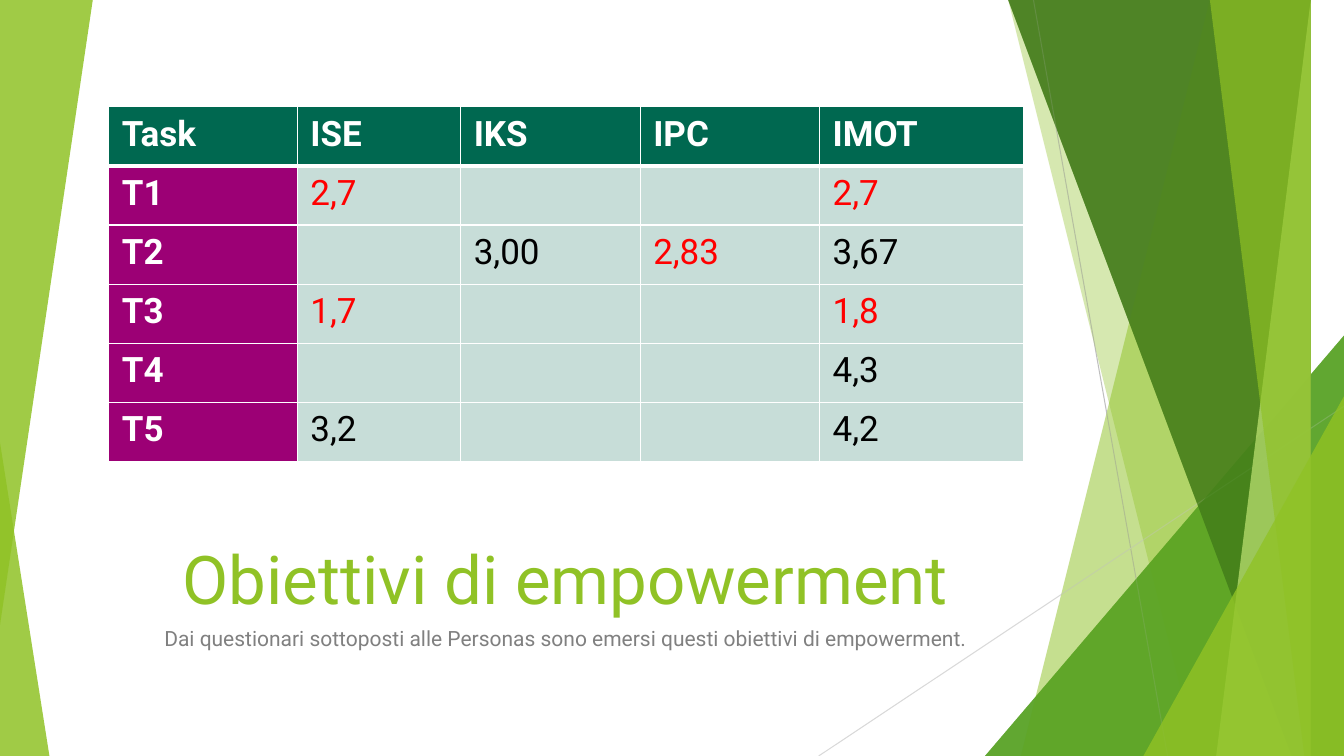
from dataclasses import dataclass

from lxml import etree
from pptx import Presentation
from pptx import util as u
from pptx.dml.color import RGBColor
from pptx.enum import shapes, text
from pptx.oxml import ns

# Content
TITLE = "Obiettivi di empowerment"
SUBTITLE = "Dai questionari sottoposti alle Personas sono emersi questi obiettivi di empowerment."
HEADER = ["Task", "ISE", "IKS", "IPC", "IMOT"]
SCORES = [
    ["T1", "2,7", "", "", "2,7"],
    ["T2", "", "3,00", "2,83", "3,67"],
    ["T3", "1,7", "", "", "1,8"],
    ["T4", "", "", "", "4,3"],
    ["T5", "3,2", "", "", "4,2"],
]
LOW_SCORE = 3


@dataclass(frozen=True)
class Theme:
    font: str = "Roboto"
    lime: str = "90C226"
    green: str = "54A021"
    forest: str = "3F7819"
    pale: str = "C0E474"
    white: str = "FFFFFF"
    black: str = "000000"
    red: str = "FF0000"
    grey: str = "808080"
    header: str = "006850"
    task: str = "9C0075"
    score: str = "C7DDD8"
    title_size: int = 48
    subtitle_size: int = 15
    table_size: int = 25


THEME = Theme()

# Grid, in inches
WIDTH, HEIGHT = 13.33, 7.5
LEFT, CONTENT_WIDTH = 1.08, 9.06
TABLE_TOP, TABLE_HEIGHT = 1.06, 3.52
TITLE_TOP, TITLE_HEIGHT, SUBTITLE_HEIGHT = 4.98, 1.2, 0.51
COLUMN_WIDTHS = [1.87, 1.62, 1.78, 1.78, 2.02]

# Facets reach the right edge: (top x, bottom x, colour, opacity),
# corners sit at the bottom right: (left, top, colour, opacity)
FACETS = [
    ("facet", 12.28, 10.04, THEME.lime, 30),
    ("facet", 10.5, 11.83, THEME.lime, 20),
    ("corner", 9.77, 3.33, THEME.green, 72),
    ("facet", 10.21, 12.91, THEME.forest, 70),
    ("facet", 13.03, 11.92, THEME.pale, 70),
    ("facet", 11.96, 13.18, THEME.lime, 65),
    ("corner", 11.34, 3.93, THEME.lime, 80),
]
RAYS = [((10.25, 0), (11.58, HEIGHT), "BFBFBF"), ((WIDTH, 4.03), (8.12, HEIGHT), "D9D9D9")]


def inches(*values):
    return [u.Inches(value) for value in values]


def paint(shape, color, opacity):
    shape.shadow.inherit = False
    shape.line.fill.background()
    shape.fill.solid()
    shape.fill.fore_color.rgb = RGBColor.from_string(color)
    fill_color = shape._element.find(".//" + ns.qn("a:srgbClr"))
    etree.SubElement(fill_color, ns.qn("a:alpha"), val=str(opacity * 1000))


def add_triangle(slide, box, apex, color, opacity, rotation=0):
    shape = slide.shapes.add_shape(shapes.MSO_SHAPE.ISOSCELES_TRIANGLE, *inches(*box))
    shape.adjustments[0] = apex
    shape.rotation = rotation
    paint(shape, color, opacity)


def add_fan(slide):
    for kind, first, second, color, opacity in FACETS:
        if kind == "corner":
            add_triangle(slide, (first, second, WIDTH - first, HEIGHT - second), 1, color, opacity)
            continue
        builder = slide.shapes.build_freeform(first, 0, scale=u.Inches(1))
        builder.add_line_segments([(WIDTH, 0), (WIDTH, HEIGHT), (second, HEIGHT)], close=True)
        paint(builder.convert_to_shape(), color, opacity)


def add_ray(slide, start, end, color):
    line = slide.shapes.add_connector(shapes.MSO_CONNECTOR.STRAIGHT, *inches(*start, *end))
    line.line.color.rgb = RGBColor.from_string(color)
    line.line.width = u.Pt(0.75)
    etree.SubElement(line._element.spPr, ns.qn("a:effectLst"))


def write(frame, words, size, color, bold=False, align=text.PP_ALIGN.LEFT, spacing=1.0):
    paragraph = frame.paragraphs[0]
    paragraph.alignment = align
    paragraph.line_spacing = spacing
    paragraph.space_before = u.Pt(0)
    run = paragraph.add_run()
    run.text = words
    run.font.name = THEME.font
    run.font.size = u.Pt(size)
    run.font.bold = bold
    run.font.color.rgb = RGBColor.from_string(color)


def place(placeholder, top, height, anchor):
    placeholder.left, placeholder.top, placeholder.width, placeholder.height = inches(
        LEFT, top, CONTENT_WIDTH, height)
    frame = placeholder.text_frame
    frame.word_wrap = True
    frame.auto_size = text.MSO_AUTO_SIZE.NONE
    frame.vertical_anchor = anchor
    element = placeholder._element
    element.getparent().append(element)  # bring in front of the facets
    return frame


def style_cell(cell, fill, bottom_width):
    cell.margin_left = cell.margin_right = u.Inches(0.13)
    cell.margin_top = cell.margin_bottom = u.Inches(0.07)
    properties = cell._tc.get_or_add_tcPr()
    for side, points in (("L", 1), ("R", 1), ("T", 1), ("B", bottom_width)):
        border = etree.SubElement(properties, ns.qn("a:ln" + side), w=str(u.Pt(points)))
        solid = etree.SubElement(border, ns.qn("a:solidFill"))
        etree.SubElement(solid, ns.qn("a:srgbClr"), val=THEME.white)
    cell.fill.solid()
    cell.fill.fore_color.rgb = RGBColor.from_string(fill)


def add_scores(slide):
    rows = [HEADER] + SCORES
    table = slide.shapes.add_table(
        len(rows), len(HEADER), *inches(LEFT, TABLE_TOP, CONTENT_WIDTH, TABLE_HEIGHT)).table
    for column, width in zip(table.columns, COLUMN_WIDTHS):
        column.width = u.Inches(width)
    for r, row in enumerate(rows):
        for c, words in enumerate(row):
            cell = table.cell(r, c)
            label = r == 0 or c == 0
            fill = THEME.header if r == 0 else THEME.task if c == 0 else THEME.score
            style_cell(cell, fill, 3 if r == 0 else 1)
            if not words:
                cell.text_frame.paragraphs[0].font.size = u.Pt(THEME.table_size)
                continue
            if label:
                color = THEME.white
            else:
                low = float(words.replace(",", ".")) < LOW_SCORE
                color = THEME.red if low else THEME.black
            write(cell.text_frame, words, THEME.table_size, color, bold=label)


def main():
    presentation = Presentation()
    presentation.slide_width, presentation.slide_height = inches(WIDTH, HEIGHT)
    slide = presentation.slides.add_slide(presentation.slide_layouts[1])

    # Background: two layers of the fan, with the rays between them
    add_fan(slide)
    add_triangle(slide, (0, 4.39, 0.49, HEIGHT - 4.39), 0, THEME.lime, 85)
    for ray in RAYS:
        add_ray(slide, *ray)
    add_fan(slide)
    add_triangle(slide, (0, 0, 0.92, 6.2), 1, THEME.lime, 85, rotation=180)

    # Title and subtitle
    title = place(slide.shapes.title, TITLE_TOP, TITLE_HEIGHT, text.MSO_ANCHOR.BOTTOM)
    write(title, TITLE, THEME.title_size, THEME.lime, align=text.PP_ALIGN.CENTER)
    subtitle = place(slide.placeholders[1], TITLE_TOP + TITLE_HEIGHT, SUBTITLE_HEIGHT,
                     text.MSO_ANCHOR.TOP)
    properties = subtitle.paragraphs[0]._p.get_or_add_pPr()
    properties.set("marL", "0")
    properties.set("indent", "0")
    etree.SubElement(properties, ns.qn("a:buNone"))
    write(subtitle, SUBTITLE, THEME.subtitle_size, THEME.grey,
          align=text.PP_ALIGN.CENTER, spacing=0.9)

    # Table
    add_scores(slide)
    presentation.save("out.pptx")


if __name__ == "__main__":
    main()
